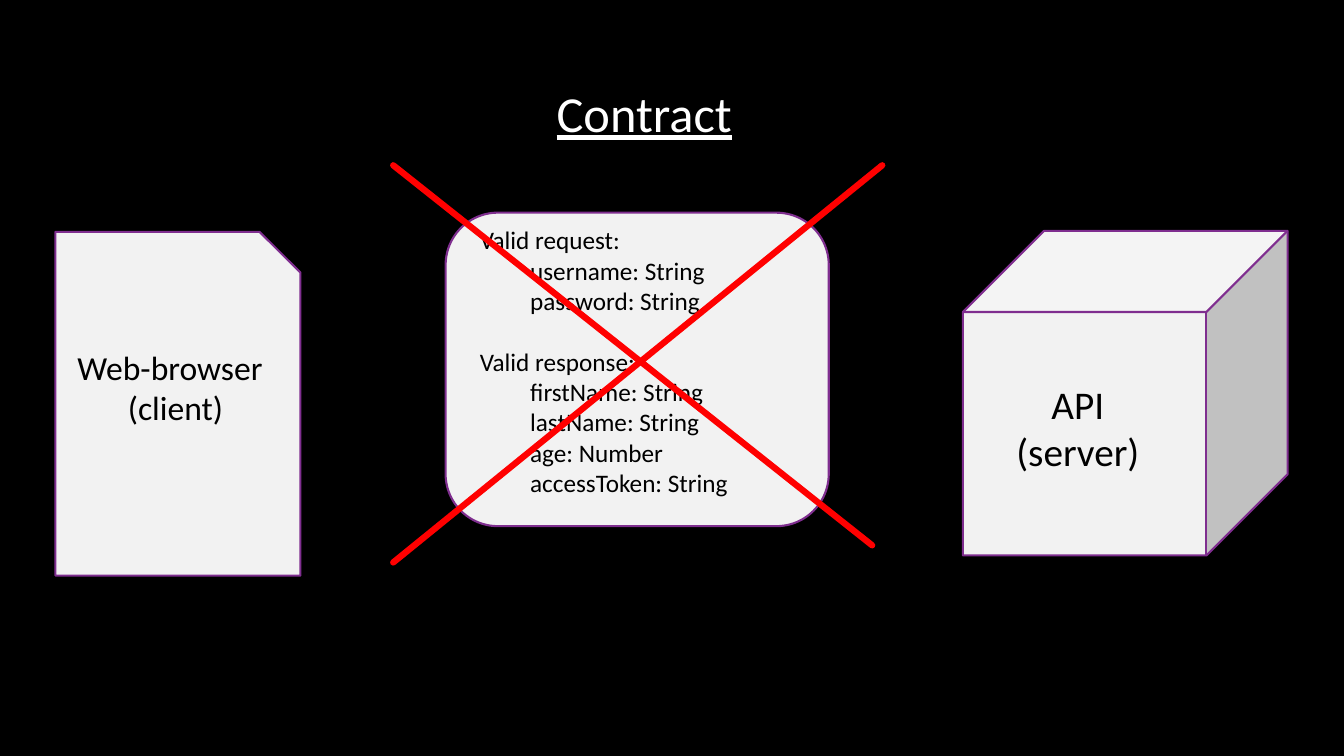
from pptx import Presentation
from pptx import util as u
from pptx.dml.color import RGBColor
from pptx.enum import shapes, text
from pptx.oxml.ns import qn
from lxml import etree

Inches, Pt = u.Inches, u.Pt
SHAPE = shapes.MSO_SHAPE
COLORS = {"background": "000000", "title": "FFFFFF", "text": "000000",
          "fill": "F2F2F2", "outline": "7F2E8F", "cross": "FF0000"}
FONT = "Calibri"


def rgb(name):
    """Return the named colour."""
    return RGBColor.from_string(COLORS[name])


def add_run(p, words, size, color="text"):
    """Add a formatted run to a paragraph."""
    r = p.add_run()
    r.text = words
    r.font.name, r.font.size = FONT, Pt(size)
    r.font.color.rgb = rgb(color)
    return r


def add_outline(group, kind, box):
    """Add a light preset shape with a purple outline."""
    sp = group.shapes.add_shape(kind, *map(Inches, box))
    sp.shadow.inherit = False
    sp.fill.solid()
    sp.fill.fore_color.rgb = rgb("fill")
    sp.line.color.rgb = rgb("outline")
    sp.line.width = Pt(1.5)


def add_lines(group, box, lines, size, align=text.PP_ALIGN.LEFT):
    """Add a text box from (words, indent in inches, space before in points)."""
    tf = group.shapes.add_textbox(*map(Inches, box)).text_frame
    tf.word_wrap = True
    for i, (words, indent, before) in enumerate(lines):
        p = tf.add_paragraph() if i else tf.paragraphs[0]
        p.alignment = align
        p.space_before = Pt(before)
        p._p.get_or_add_pPr().set("marL", str(Inches(indent)))
        add_run(p, words, size)


def add_title(s, box):
    """Place the underlined slide title."""
    sp = s.shapes.title
    sp.left, sp.top, sp.width, sp.height = map(Inches, box)
    tf = sp.text_frame
    tf.word_wrap = False
    tf.auto_size = text.MSO_AUTO_SIZE.NONE
    tf.vertical_anchor = text.MSO_ANCHOR.TOP
    p = tf.paragraphs[0]
    p.alignment = text.PP_ALIGN.CENTER
    add_run(p, "Contract", 36, "title").font.underline = True


def add_client(s, box):
    """Draw the web-browser page."""
    x, y, w, h = box
    group = s.shapes.add_group_shape()
    add_outline(group, SHAPE.SNIP_1_RECTANGLE, box)
    add_lines(group, (x + 0.12, y + 1.09, w - 0.17, 0.91),
              [("Web-browser", 0, 0), ("(client)", 0.5, 0)], 24)


def add_server(s, box):
    """Draw the API cube."""
    x, y, w, h = box
    group = s.shapes.add_group_shape()
    add_outline(group, SHAPE.CUBE, box)
    add_lines(group, (x + 0.25, y + 1.43, 1.78, 1.04),
              [("API", 0, 0), ("(server)", 0, 0)], 28, text.PP_ALIGN.CENTER)


def add_contract(s, box):
    """Draw the contract card with its request and response fields."""
    x, y, w, h = box
    group = s.shapes.add_group_shape()
    add_outline(group, SHAPE.ROUNDED_RECTANGLE, box)
    sections = {
        "Valid request:": ["username: String", "password: String"],
        "Valid response:": ["firstName: String", "lastName: String",
                            "age: Number", "accessToken: String"],
    }
    lines = []
    for heading, fields in sections.items():
        lines.append((heading, 0, 22 if lines else 0))
        lines += [(field, 0.5, 0) for field in fields]
    add_lines(group, (x + 0.24, y + 0.07, w - 0.59, 2.83), lines, 18)


def add_cross(s, box):
    """Strike out the contract with two red lines."""
    x, y, w, h = box
    group = s.shapes.add_group_shape()
    for ends in ((x, y, x + w - 0.1, y + h - 0.17), (x, y + h, x + w, y)):
        line = group.shapes.add_connector(shapes.MSO_CONNECTOR.STRAIGHT,
                                          *map(Inches, ends))
        line.line.color.rgb = rgb("cross")
        line.line.width = Pt(4.5)
        line.line._get_or_add_ln().set("cap", "rnd")
        etree.SubElement(line._element.spPr, qn("a:effectLst"))


def main():
    """Build and save the slide."""
    prs = Presentation()
    prs.slide_width, prs.slide_height = Inches(13.33), Inches(7.5)
    s = prs.slides.add_slide(prs.slide_layouts[5])
    s.background.fill.solid()
    s.background.fill.fore_color.rgb = rgb("background")
    add_title(s, (5.41, 0.76, 1.96, 0.71))
    add_client(s, (0.55, 2.3, 2.43, 3.41))
    add_server(s, (9.55, 2.29, 3.22, 3.22))
    add_contract(s, (4.42, 2.11, 3.8, 3.11))
    add_cross(s, (3.9, 1.64, 4.85, 3.94))
    prs.save("out.pptx")


if __name__ == "__main__":
    main()
